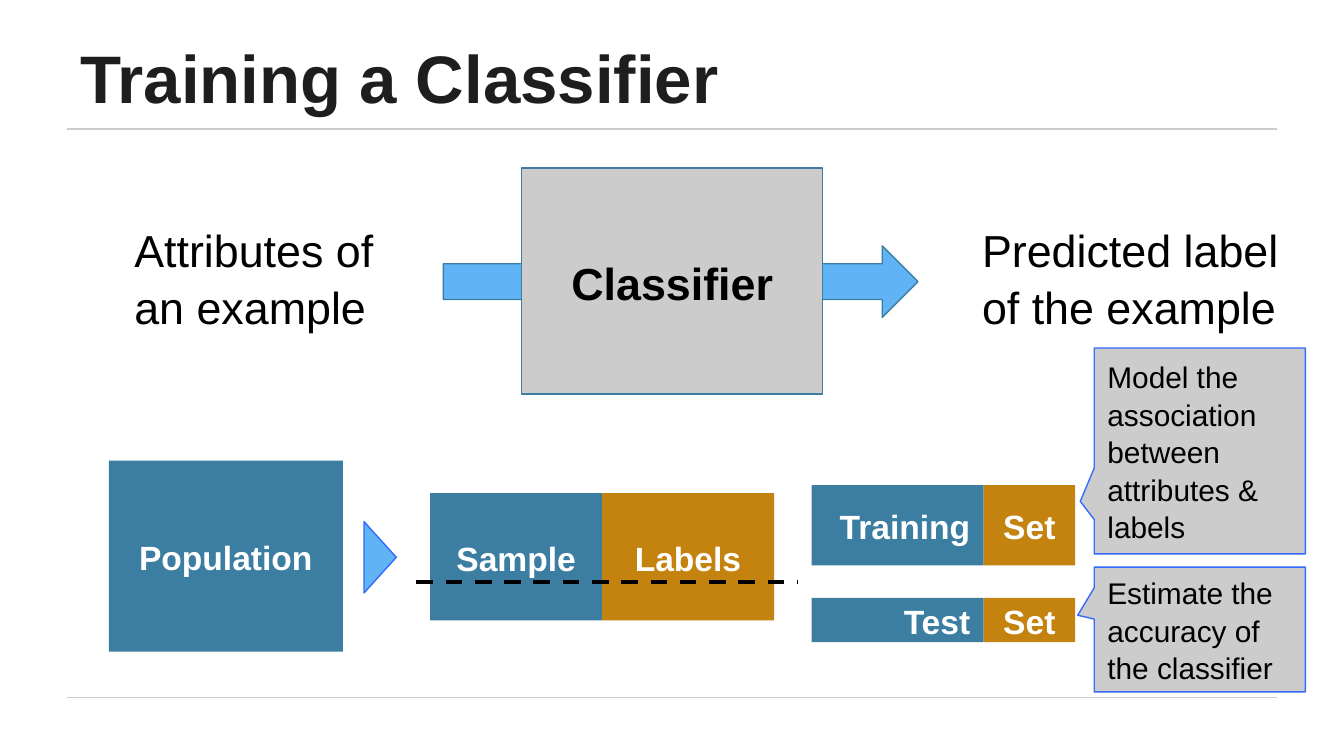
from lxml import etree
from pptx import Presentation
from pptx import util as u
from pptx.dml.color import RGBColor
from pptx.enum import dml, shapes, text

BLUE, GOLD, GREY, SKY = "3B7EA1", "C4820E", "CCCCCC", "60B4F6"
EDGE, BLACK, WHITE, INK = "3369FC", "000000", "FFFFFF", "1E1E1E"
KINDS = shapes.MSO_SHAPE
ALIGN = text.PP_ALIGN
ANCHOR = text.MSO_ANCHOR
SPLIT = 3.25

RULES = [2.44, 13.18]
ARROWS = [
    ((8.38, 4.65, 8.97, 1.35), BLUE, (0.5, 0.5)),
    ((6.88, 9.86, 0.61, 1.35), EDGE, (0.5, 1)),
]
TITLE = ("Training a Classifier", (1.27, 0.58, 22.73, 1.88))
MODEL = ("Classifier", (9.86, 3.18, 5.69, 4.27))
ENDS = [
    ("Attributes of an example", (2.29, 3.89, 5.69, 2.69)),
    ("Predicted label of the example", (18.31, 3.89, 6.2, 2.69)),
]
POPULATION = ("Population", (2.06, 8.71, 4.42, 3.61))
DATASETS = [
    ("Sample", "Labels", (8.13, 9.32, 2 * SPLIT, 2.41), ALIGN.CENTER),
    ("Training", "Set", (15.34, 9.17, 4.98, 1.52), ALIGN.RIGHT),
    ("Test", "Set", (15.34, 11.3, 4.98, 0.84), ALIGN.RIGHT),
]
CUT = (7.87, 15.06, 11)
CALLOUTS = [
    ("Model the association between attributes & labels",
     (20.68, 6.58, 3.99, 3.89), (-0.566, 0.245, 0)),
    ("Estimate the accuracy of the classifier",
     (20.68, 10.72, 3.99, 2.36), (-0.578, -0.114, 0)),
]


def color(value):
    return RGBColor.from_string(value)


def apply(target, values):
    for name, value in values.items():
        setattr(target, name, value)


def write(box, words, size, tint, bold=False, align=ALIGN.LEFT, anchor=ANCHOR.MIDDLE):
    frame = box.text_frame
    margins = {f"margin_{side}": u.Cm(0.25) for side in ("left", "right", "top", "bottom")}
    apply(frame, {"word_wrap": True, "vertical_anchor": anchor, **margins})
    para = frame.paragraphs[0]
    apply(para, {"alignment": align, "line_spacing": 1.05})
    span = para.add_run()
    span.text = words
    apply(span.font, {"name": "Arial", "size": u.Pt(size), "bold": bold})
    span.font.color.rgb = color(tint)


def add_text(page, words, place, *style, **options):
    box = page.shapes.add_textbox(*map(u.Cm, place))
    write(box, words, *style, **options)


def add_box(page, place, fill, edge=None, kind=KINDS.RECTANGLE, adjust=()):
    box = page.shapes.add_shape(kind, *map(u.Cm, place))
    box.shadow.inherit = False
    box.fill.solid()
    box.fill.fore_color.rgb = color(fill)
    if edge:
        box.line.color.rgb = color(edge)
        box.line.width = u.Pt(0.75)
    else:
        box.line.fill.background()
    for index, value in enumerate(adjust):
        box.adjustments[index] = value
    return box


def add_line(page, left, right, top, tint, width, dash=None):
    line = page.shapes.add_connector(
        shapes.MSO_CONNECTOR.STRAIGHT, *map(u.Cm, (left, top, right, top)))
    line.line.color.rgb = color(tint)
    apply(line.line, {"width": u.Pt(width), "dash_style": dash})
    namespace = "http://schemas.openxmlformats.org/drawingml/2006/main"
    etree.SubElement(line._element.spPr, f"{{{namespace}}}effectLst")


def main():
    deck = Presentation()
    apply(deck, {"slide_width": u.Cm(25.4), "slide_height": u.Cm(14.29)})
    page = deck.slides.add_slide(deck.slide_layouts[6])

    for top in RULES:
        add_line(page, 1.27, 24.13, top, GREY, 0.75)
    for place, edge, adjust in ARROWS:
        add_box(page, place, SKY, edge, KINDS.RIGHT_ARROW, adjust)

    add_text(page, *TITLE, 36, INK, bold=True, anchor=ANCHOR.BOTTOM)
    words, place = MODEL
    write(add_box(page, place, GREY, BLUE), words, 24, BLACK, True, ALIGN.CENTER)
    for words, place in ENDS:
        add_text(page, words, place, 24, BLACK)

    words, place = POPULATION
    write(add_box(page, place, BLUE), words, 18, WHITE, True, ALIGN.CENTER)
    for name, tag, (left, top, width, height), align in DATASETS:
        parts = [
            (name, left, SPLIT, BLUE, align),
            (tag, left + SPLIT, width - SPLIT, GOLD, ALIGN.CENTER),
        ]
        for words, start, span, fill, side in parts:
            box = add_box(page, (start, top, span, height), fill)
            write(box, words, 18, WHITE, True, side)
    add_line(page, *CUT, BLACK, 2.25, dml.MSO_LINE.DASH)

    for words, place, adjust in CALLOUTS:
        box = add_box(page, place, GREY, EDGE, KINDS.ROUNDED_RECTANGULAR_CALLOUT, adjust)
        write(box, words, 16, BLACK)

    deck.save("out.pptx")


if __name__ == "__main__":
    main()
